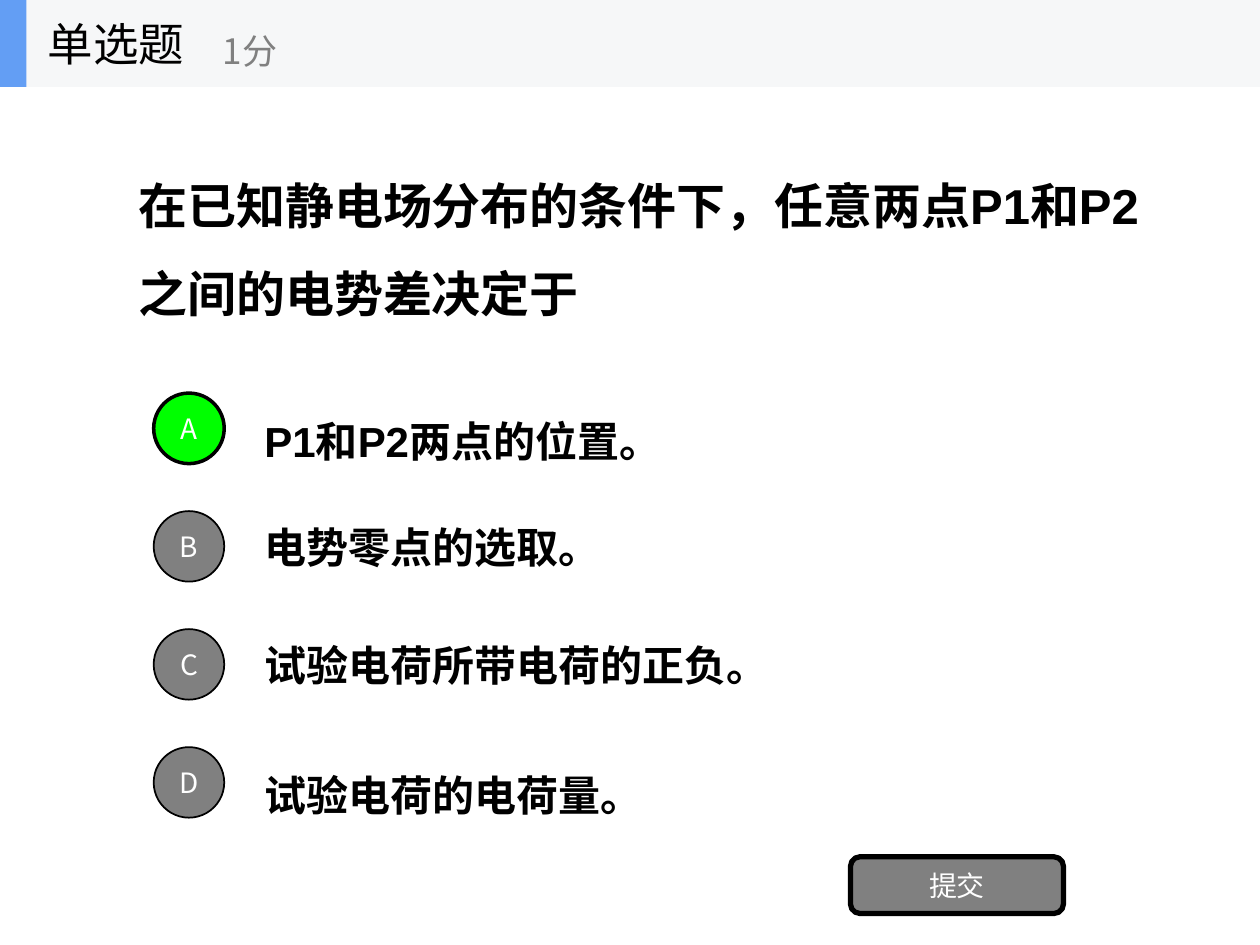
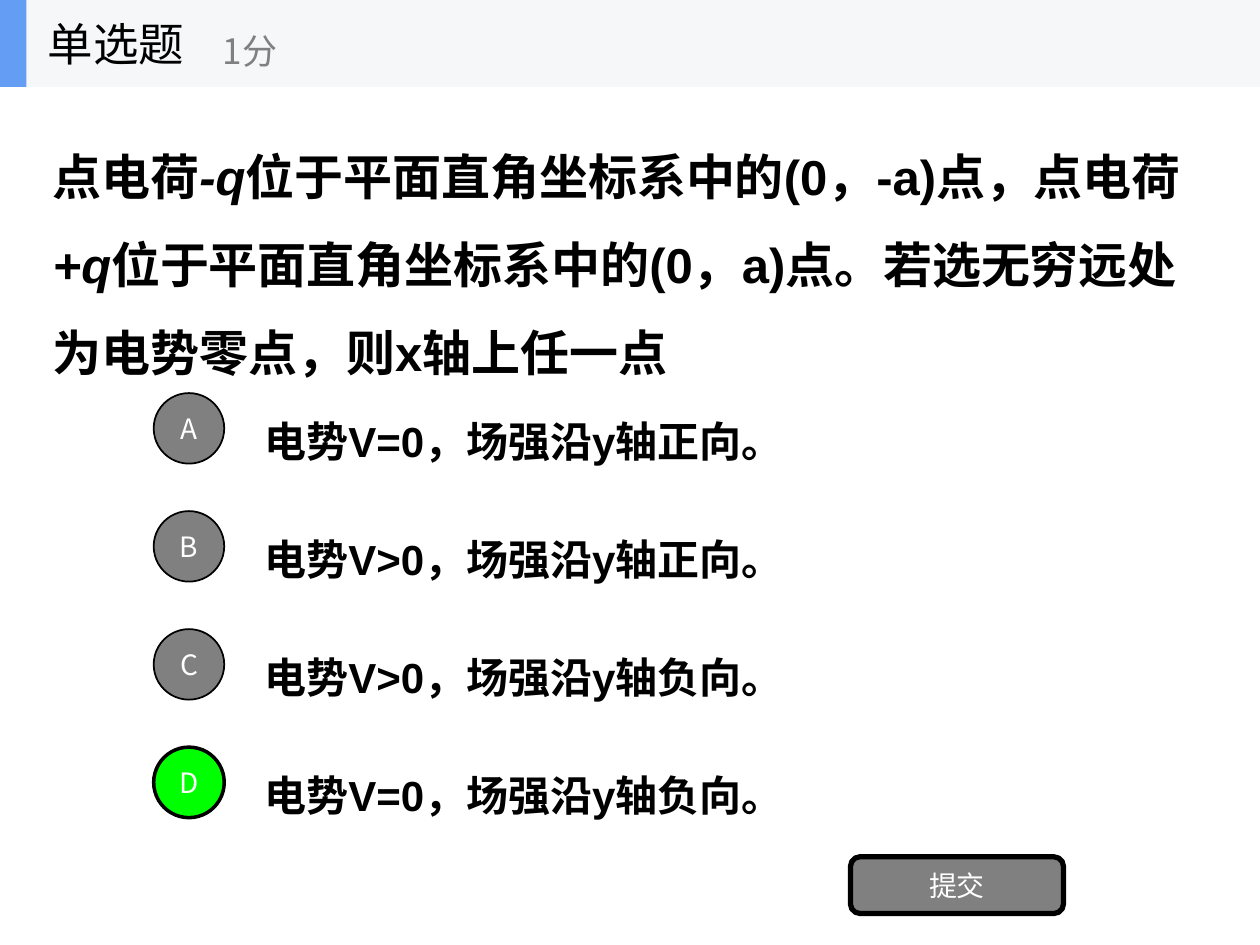
"""Build two single-choice quiz slides about electric potential."""
import pptx
import pptx.dml.color
import pptx.enum.shapes
import pptx.enum.text
import pptx.oxml.ns
import pptx.util
from lxml import etree

Inches = pptx.util.Inches
RGBColor = pptx.dml.color.RGBColor
Shape = pptx.enum.shapes.MSO_SHAPE
Align = pptx.enum.text.PP_ALIGN

BLACK = RGBColor(0x00, 0x00, 0x00)
WHITE = RGBColor(0xFF, 0xFF, 0xFF)
GRAY = RGBColor(0x80, 0x80, 0x80)
GREEN = RGBColor(0x00, 0xFF, 0x00)
BAND = RGBColor(0xF6, 0xF7, 0xF8)
ACCENT = RGBColor(0x63, 0x9E, 0xF4)
BODY_FONT = "Arial"
LABEL_FONT = "Noto Sans CJK SC"

BAND_HEIGHT = 0.69
FIRST_ROW = 3.05
LAST_ROW = 5.86

QUESTIONS = [
    {
        "area": (1, 0.69, 8.41, 2.34),
        "spans": [("在已知静电场分布的条件下，任意两点P1和P2之间的电势差决定于", False)],
        "options": [
            ("P1和P2两点的位置。", 1.5),
            ("电势零点的选取。", 1),
            ("试验电荷所带电荷的正负。", 1),
            ("试验电荷的电荷量。", 1.5),
        ],
        "answer": "A",
    },
    {
        "area": (0.32, 0.81, 9.37, 2.34),
        "spans": [
            ("点电荷", False),
            ("-q", True),
            ("位于平面直角坐标系中的(0，-a)点，点电荷", False),
            ("+q", True),
            ("位于平面直角坐标系中的(0，a)点。若选无穷远处为电势零点，则x轴上任一点", False),
        ],
        "options": [
            ("电势V=0，场强沿y轴正向。", 1.5),
            ("电势V>0，场强沿y轴正向。", 1.5),
            ("电势V>0，场强沿y轴负向。", 1.5),
            ("电势V=0，场强沿y轴负向。", 1.5),
        ],
        "answer": "D",
    },
]


class QuizDeck:
    """Hold the deck style and the current slide."""

    def __init__(self):
        self.deck = pptx.Presentation()
        self.deck.slide_width = Inches(10)
        self.deck.slide_height = Inches(7.5)
        self.page = None

    def fill_text(self, shape, spans, size, color, font=LABEL_FONT,
                  bold=False, align=Align.LEFT, spacing=1):
        """Fill a shape with one paragraph of (text, italic) spans."""
        frame = shape.text_frame
        frame.word_wrap = True
        frame.auto_size = pptx.enum.text.MSO_AUTO_SIZE.NONE
        frame.vertical_anchor = pptx.enum.text.MSO_ANCHOR.MIDDLE
        para = frame.paragraphs[0]
        para.alignment = align
        para.line_spacing = spacing
        para.font.size = pptx.util.Pt(size)
        para.font.bold = bold
        para.font.color.rgb = color
        para.font.name = font
        east_asian = etree.SubElement(para.font._element, pptx.oxml.ns.qn("a:ea"))
        east_asian.set("typeface", LABEL_FONT)
        for text, italic in spans:
            span = para.add_run()
            span.text = text
            if italic:
                span.font.italic = True

    def text(self, area, spans, size, color, **style):
        """Add a text box."""
        box = self.page.shapes.add_textbox(*map(Inches, area))
        self.fill_text(box, spans, size, color, **style)

    def shape(self, kind, area, fill, line_width=0):
        """Add a filled preset shape, outlined in black if a width is given."""
        shape = self.page.shapes.add_shape(kind, *map(Inches, area))
        shape.shadow.inherit = False
        shape.fill.solid()
        shape.fill.fore_color.rgb = fill
        if line_width:
            shape.line.color.rgb = BLACK
            shape.line.width = pptx.util.Pt(line_width)
        else:
            shape.line.fill.background()
        return shape

    def button(self, kind, area, label, fill, line_width):
        """Add an outlined shape with a centred white label."""
        button = self.shape(kind, area, fill, line_width)
        frame = button.text_frame
        frame.margin_left = frame.margin_right = 0
        frame.margin_top = frame.margin_bottom = 0
        self.fill_text(button, [(label, False)], 16, WHITE, align=Align.CENTER)

    def header(self):
        """Add the band with the question type and its score."""
        self.shape(Shape.RECTANGLE, (0, 0, 10, BAND_HEIGHT), BAND)
        accent = self.shape(Shape.RECTANGLE, (0, 0, 0.21, BAND_HEIGHT), ACCENT)
        title = self.page.shapes.title
        title.left, title.top = Inches(0.28), Inches(0)
        title.width, title.height = Inches(2.08), Inches(BAND_HEIGHT)
        self.fill_text(title, [("单选题", False)], 26, BLACK)
        accent._element.addnext(title._element)
        self.text((1.67, 0.12, 2.5, 0.56), [("1分", False)], 20, GRAY)

    def options(self, options, answer):
        """Add the evenly spaced options and mark the right one."""
        step = (LAST_ROW - FIRST_ROW) / (len(options) - 1)
        for row, (letter, (text, spacing)) in enumerate(zip("ABCD", options)):
            top = FIRST_ROW + row * step
            self.text((2, top, 7, 0.7), [(text, False)], 24, BLACK,
                      font=BODY_FONT, bold=True, spacing=spacing)
            fill, line_width = (GREEN, 2) if letter == answer else (GRAY, 1)
            self.button(Shape.OVAL, (1.22, top + 0.07, 0.56, 0.56),
                        letter, fill, line_width)

    def question(self, area, spans, options, answer):
        """Add one complete question slide."""
        self.page = self.deck.slides.add_slide(self.deck.slide_layouts[5])
        self.text(area, spans, 28, BLACK, font=BODY_FONT, bold=True, spacing=1.5)
        self.options(options, answer)
        self.button(Shape.ROUNDED_RECTANGLE, (6.75, 6.8, 1.69, 0.45), "提交", GRAY, 3)
        self.header()


def main():
    """Build and save the quiz."""
    quiz = QuizDeck()
    for question in QUESTIONS:
        quiz.question(**question)
    quiz.deck.save("out.pptx")


if __name__ == "__main__":
    main()
